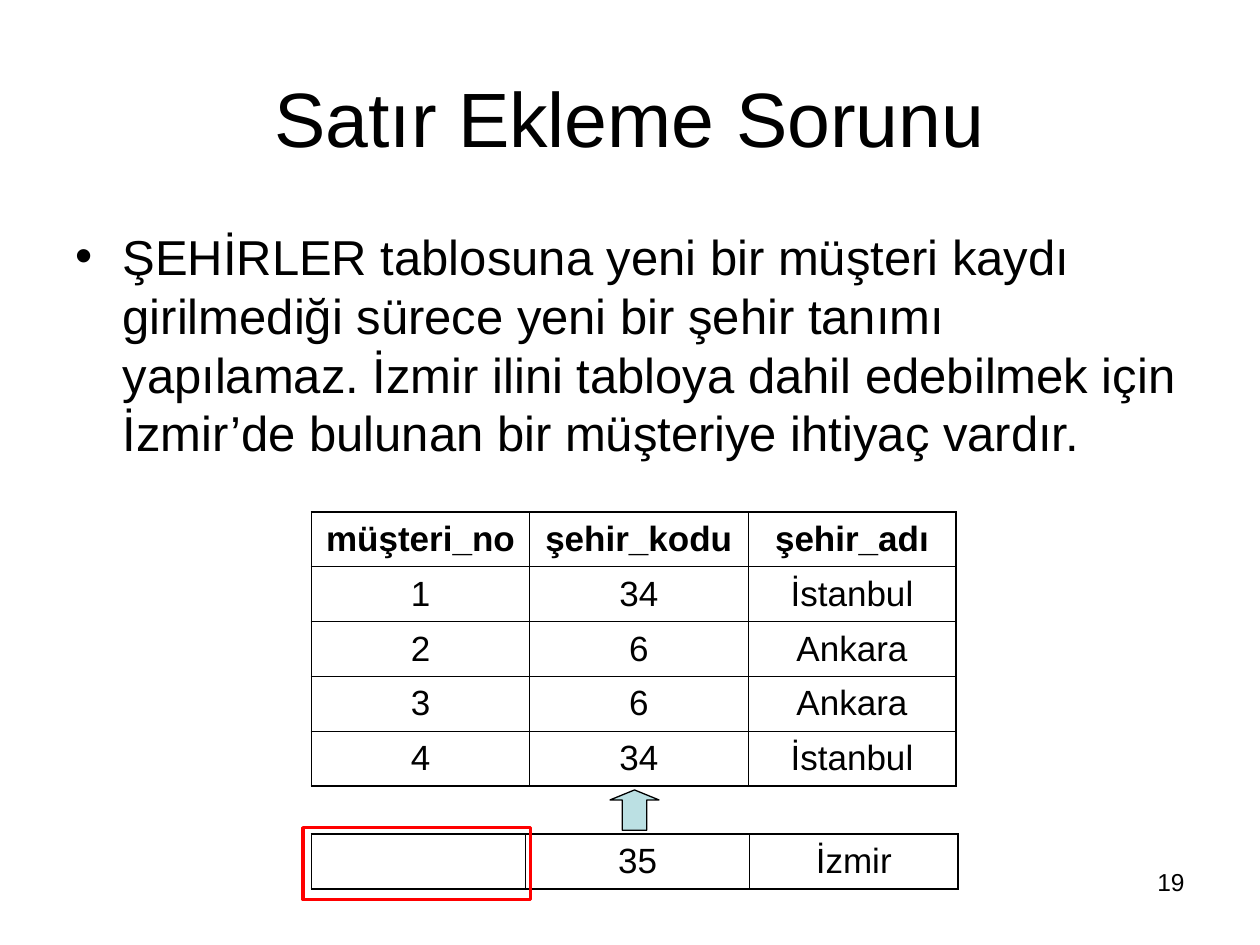
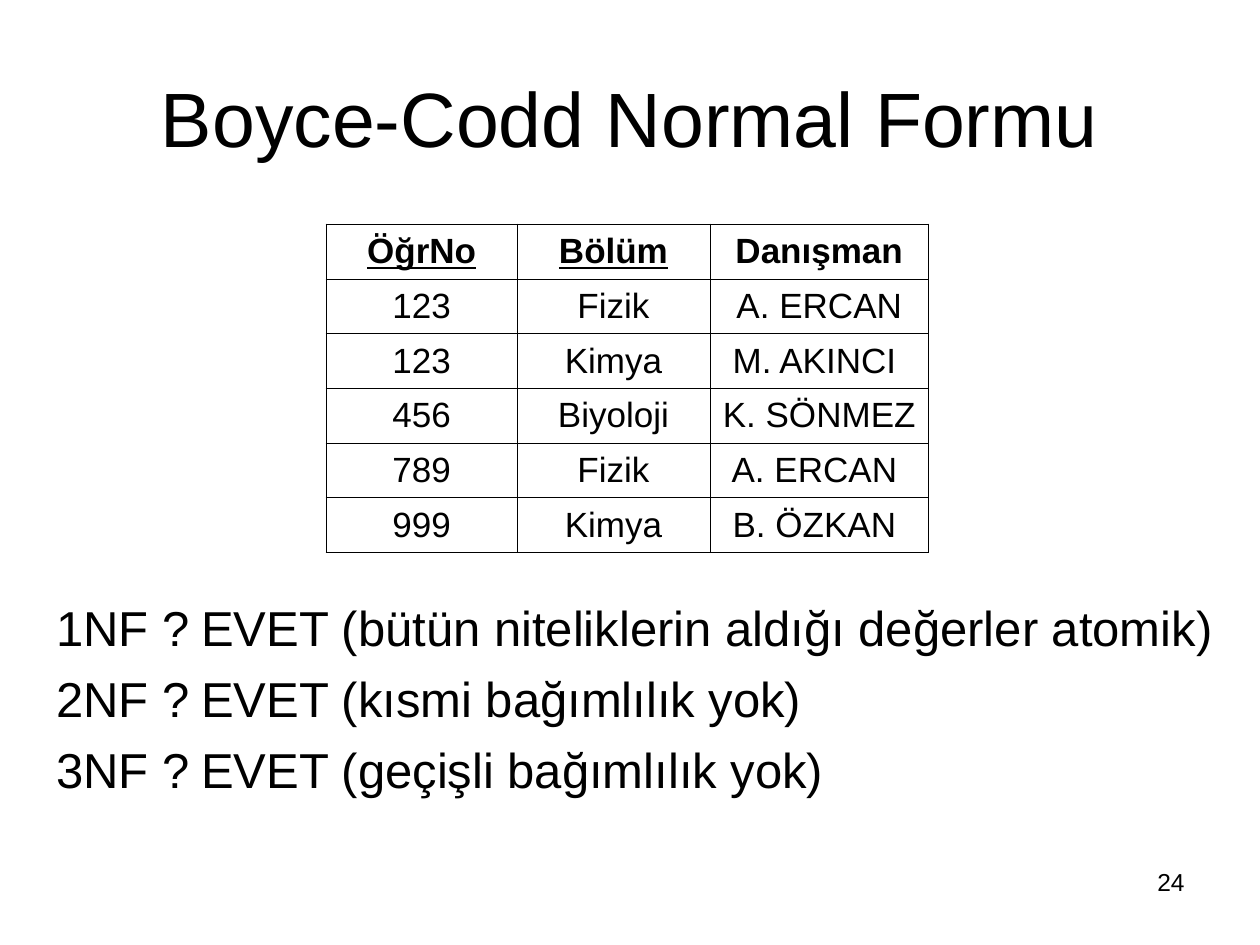
from lxml.etree import SubElement
from pptx import Presentation
from pptx.dml.color import RGBColor
from pptx.enum.shapes import MSO_SHAPE
from pptx.enum.text import MSO_ANCHOR, PP_ALIGN
from pptx.oxml.ns import qn
from pptx.util import Pt

BLACK, RED, AQUA = "000000", "FF0000", "BBE0E3"
THICK, THIN = 1.08, 0.45

TITLE = {"size": 44, "align": PP_ALIGN.CENTER, "anchor": MSO_ANCHOR.MIDDLE}
BODY = {"size": 28, "lead": 33.6, "gap": 7}
PAGE = {"size": 14, "align": PP_ALIGN.RIGHT}

SLIDES = [
    {
        "title": "Satır Ekleme Sorunu",
        "page": "19",
        "texts": [
            ((36, 126, 648, 150), [
                "ŞEHİRLER tablosuna yeni bir müşteri kaydı girilmediği sürece "
                "yeni bir şehir tanımı yapılamaz. İzmir ilini tabloya dahil "
                "edebilmek için İzmir’de bulunan bir müşteriye ihtiyaç vardır."
            ], {**BODY, "bullet": "•"}),
        ],
        "tables": [
            {"at": (178, 292.5), "cols": (124.7, 124.7, 119), "high": 31.3,
             "head": True, "keys": (),
             "rows": [
                 ("müşteri_no", "şehir_kodu", "şehir_adı"),
                 ("1", "34", "İstanbul"),
                 ("2", "6", "Ankara"),
                 ("3", "6", "Ankara"),
                 ("4", "34", "İstanbul"),
             ]},
            {"at": (178, 476.7), "cols": (122.4, 128, 119), "high": 31,
             "head": False, "keys": (), "rows": [("", "35", "İzmir")]},
        ],
        "shapes": [
            (MSO_SHAPE.UP_ARROW, (348.6, 451.4, 28, 23), AQUA, BLACK, 0.75, (0.5, 0.25)),
            (MSO_SHAPE.RECTANGLE, (173, 473, 130.3, 41), None, RED, 2, ()),
        ],
    },
    {
        "title": "Boyce-Codd Normal Formu",
        "page": "24",
        "texts": [
            ((25, 338, 102, 158), ["1NF ?", "2NF ?", "3NF ?"], BODY),
            ((108, 338, 604, 158), [
                "EVET (bütün niteliklerin aldığı değerler atomik)",
                "EVET (kısmi bağımlılık yok)",
                "EVET (geçişli bağımlılık yok)",
            ], BODY),
        ],
        "tables": [
            {"at": (186.5, 128.2), "cols": (109, 110.2, 125), "high": 31.25,
             "head": True, "keys": ("ÖğrNo", "Bölüm"),
             "rows": [
                 ("ÖğrNo", "Bölüm", "Danışman"),
                 ("123", "Fizik", "A. ERCAN"),
                 ("123", "Kimya", "M. AKINCI "),
                 ("456", "Biyoloji", "K. SÖNMEZ"),
                 ("789", "Fizik", "A. ERCAN "),
                 ("999", "Kimya", "B. ÖZKAN "),
             ]},
        ],
        "shapes": [],
    },
]


def hue(code):
    return RGBColor.from_string(code)


def pts(nums):
    return [Pt(num) for num in nums]


def style(run, size, **more):
    look = {"name": "Arial", "size": Pt(size), **more}
    for key, val in look.items():
        setattr(run.font, key, val)
    run.font.color.rgb = hue(BLACK)


def mark(para, sign):
    props = para._p.get_or_add_pPr()
    props.set("marL", str(Pt(27)))
    props.set("indent", str(-Pt(27)))
    SubElement(props, qn("a:buFont"), typeface="Arial")
    SubElement(props, qn("a:buChar"), char=sign)


def write(slide, place, lines, form):
    frame = slide.shapes.add_textbox(*pts(place)).text_frame
    frame.word_wrap = True
    frame.vertical_anchor = form.get("anchor", MSO_ANCHOR.TOP)
    for num, line in enumerate(lines):
        para = frame.paragraphs[0] if num == 0 else frame.add_paragraph()
        if "bullet" in form:
            mark(para, form["bullet"])
        para.alignment = form.get("align", PP_ALIGN.LEFT)
        if "lead" in form:
            para.line_spacing = Pt(form["lead"])
        if num:
            para.space_before = Pt(form["gap"])
        run = para.add_run()
        run.text = line
        style(run, form["size"])


def edge(cell, outer):
    props = cell._tc.get_or_add_tcPr()
    for spot, (side, out) in enumerate(outer.items()):
        line = SubElement(props, qn("a:" + side), w=str(Pt(THICK if out else THIN)))
        fill = SubElement(line, qn("a:solidFill"))
        SubElement(fill, qn("a:srgbClr"), val=BLACK)
        props.remove(line)
        props.insert(spot, line)


def grid(slide, data):
    rows, cols, high = data["rows"], data["cols"], data["high"]
    size = (sum(cols), high * len(rows))
    table = slide.shapes.add_table(len(rows), len(cols), *pts(data["at"] + size)).table
    table.first_row = table.horz_banding = False
    for col, wide in zip(table.columns, cols):
        col.width = Pt(wide)
    for r, row in enumerate(rows):
        table.rows[r].height = Pt(high)
        for c, word in enumerate(row):
            cell = table.cell(r, c)
            cell.fill.background()
            cell.vertical_anchor = MSO_ANCHOR.MIDDLE
            edge(cell, {"lnL": c == 0, "lnR": c == len(cols) - 1,
                        "lnT": r == 0, "lnB": r == len(rows) - 1})
            para = cell.text_frame.paragraphs[0]
            para.alignment = PP_ALIGN.CENTER
            if word:
                run = para.add_run()
                run.text = word
                style(run, 20, bold=data["head"] and r == 0,
                      underline=word in data["keys"])


def draw(slide, kind, place, fill, line, width, bends):
    shape = slide.shapes.add_shape(kind, *pts(place))
    shape.shadow.inherit = False
    if fill:
        shape.fill.solid()
        shape.fill.fore_color.rgb = hue(fill)
    else:
        shape.fill.background()
    shape.line.color.rgb = hue(line)
    shape.line.width = Pt(width)
    for num, bend in enumerate(bends):
        shape.adjustments[num] = bend


def main():
    deck = Presentation()
    deck.slide_width, deck.slide_height = pts((720, 540))
    for page in SLIDES:
        slide = deck.slides.add_slide(deck.slide_layouts[6])
        write(slide, (36, 21.6, 648, 90), [page["title"]], TITLE)
        for text in page["texts"]:
            write(slide, *text)
        for data in page["tables"]:
            grid(slide, data)
        for shape in page["shapes"]:
            draw(slide, *shape)
        write(slide, (516, 492, 168, 37.5), [page["page"]], PAGE)
    deck.save("out.pptx")


if __name__ == "__main__":
    main()
